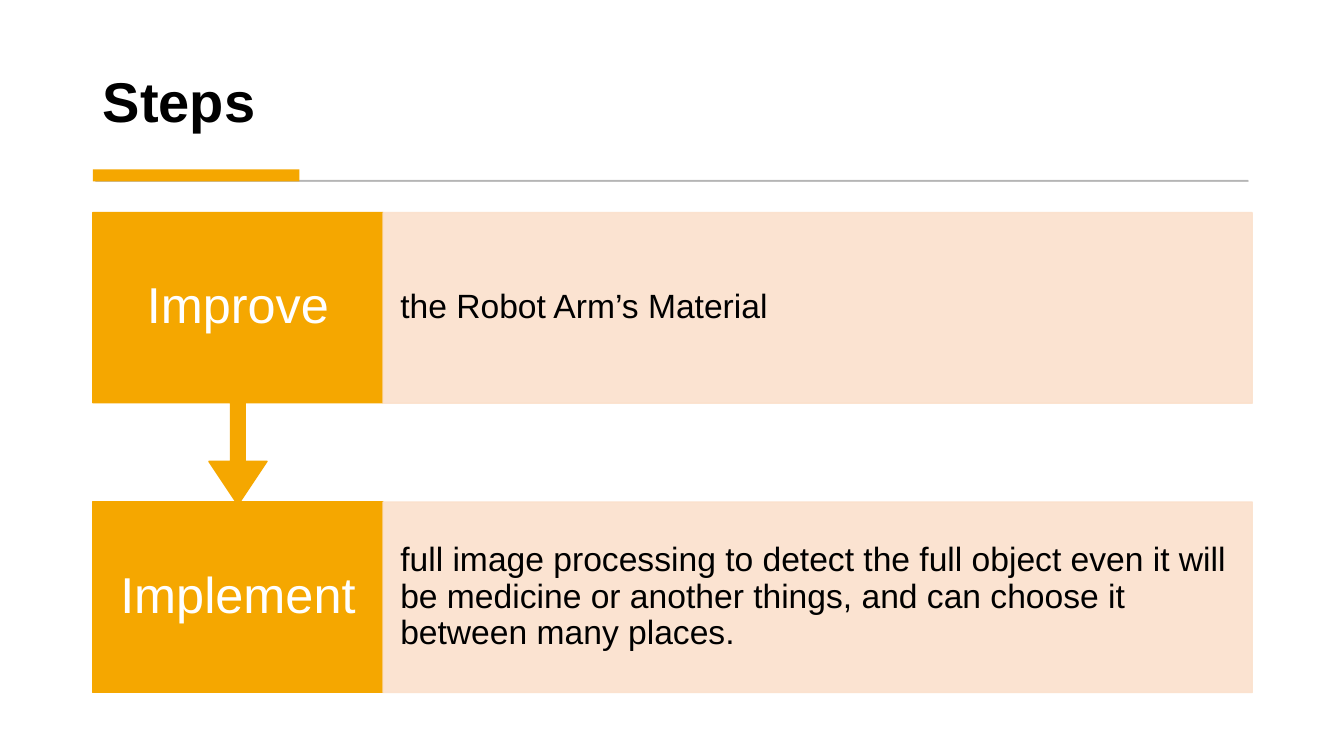
"""Build a slide showing two project steps, linked by a downward arrow."""
from lxml.etree import SubElement
from pptx import Presentation
from pptx.dml.color import RGBColor
from pptx.enum.shapes import MSO_SHAPE as Shape
from pptx.enum.text import MSO_ANCHOR as Anchor, MSO_AUTO_SIZE as AutoSize, PP_ALIGN as Align
from pptx.oxml.ns import qn
from pptx.util import Inches, Pt

TITLE = "Steps"
STEPS = [
    ("Improve", "the Robot Arm’s Material"),
    ("Implement", "full image processing to detect the full object even it will be "
     "medicine or another things, and can choose it between many places."),
]
COLORS = {"accent": "F5A700", "panel": "FBE1CC", "rule": "595959",
          "dark": "000000", "light": "FFFFFF"}
FONT = "Arial"
LEFT, TOP = 0.92, 2.11
LABEL_WIDTH, PANEL_WIDTH = 2.88, 8.62
ROW_HEIGHT, ROW_PITCH, CALLOUT_HEIGHT = 1.89, 2.87, 2.9
CALLOUT_ADJUSTMENTS = (0.05, 0.1, 0.15, 0.65)


def paint(color_format, color, opacity):
    color_format.rgb = RGBColor.from_string(COLORS[color])
    return opacity


def set_opacity(shape, percent):
    for color in shape.element.spPr.iter(qn("a:srgbClr")):
        SubElement(color, qn("a:alpha"), val=str(percent * 1000))


def add_block(slide, kind, box, color, line_width=0, opacity=100):
    shape = slide.shapes.add_shape(kind, *map(Inches, box))
    shape.shadow.inherit = False
    shape.fill.solid()
    shape.fill.fore_color.rgb = RGBColor.from_string(COLORS[color])
    if line_width:
        shape.line.color.rgb = RGBColor.from_string(COLORS[color])
        shape.line.width = Pt(line_width)
    else:
        shape.line.fill.background()
    if opacity < 100:
        set_opacity(shape, opacity)
    return shape


def write(shape, text, size, color, align, anchor, margins=(0.1, 0.05), bold=False):
    frame = shape.text_frame
    frame.word_wrap = True
    frame.auto_size = AutoSize.NONE
    frame.vertical_anchor = anchor
    frame.margin_left = frame.margin_right = Inches(margins[0])
    frame.margin_top = frame.margin_bottom = Inches(margins[1])
    frame.text = text
    paragraph = frame.paragraphs[0]
    paragraph.alignment = align
    paragraph.line_spacing = 0.9
    paragraph.space_before = Pt(0)
    font = paragraph.font
    font.name, font.size, font.bold = FONT, Pt(size), bold
    font.color.rgb = RGBColor.from_string(COLORS[color])


def add_step(slide, index):
    label, detail = STEPS[index]
    top = TOP + index * ROW_PITCH
    is_last = index == len(STEPS) - 1
    kind = Shape.RECTANGLE if is_last else Shape.DOWN_ARROW_CALLOUT
    height = ROW_HEIGHT if is_last else CALLOUT_HEIGHT
    label_block = add_block(slide, kind, (LEFT, top, LABEL_WIDTH, height), "accent", 1)
    if not is_last:
        for position, value in enumerate(CALLOUT_ADJUSTMENTS):
            label_block.adjustments[position] = value
    write(label_block, label, 36, "light", Align.CENTER, Anchor.MIDDLE, (0.2, 0.28))

    panel_box = (LEFT + LABEL_WIDTH, top, PANEL_WIDTH, ROW_HEIGHT)
    panel = add_block(slide, Shape.RECTANGLE, panel_box, "panel", 1, 90)
    write(panel, detail, 24, "dark", Align.LEFT, Anchor.MIDDLE, (0.17, 0.33))


def main():
    presentation = Presentation()
    presentation.slide_width, presentation.slide_height = Inches(13.33), Inches(7.5)
    slide = presentation.slides.add_slide(presentation.slide_layouts[5])

    title = slide.shapes.title
    title.left, title.top = Inches(LEFT), Inches(0.28)
    title.width, title.height = Inches(11.49), Inches(1.11)
    write(title, TITLE, 40, "dark", Align.LEFT, Anchor.BOTTOM, bold=True)

    add_block(slide, Shape.RECTANGLE, (0.95, 1.79, 11.43, 0.01), "rule", 0.75, 30)
    add_block(slide, Shape.RECTANGLE, (LEFT, 1.68, 2.05, 0.12), "accent")
    for index in reversed(range(len(STEPS))):
        add_step(slide, index)
    presentation.save("out.pptx")


if __name__ == "__main__":
    main()
